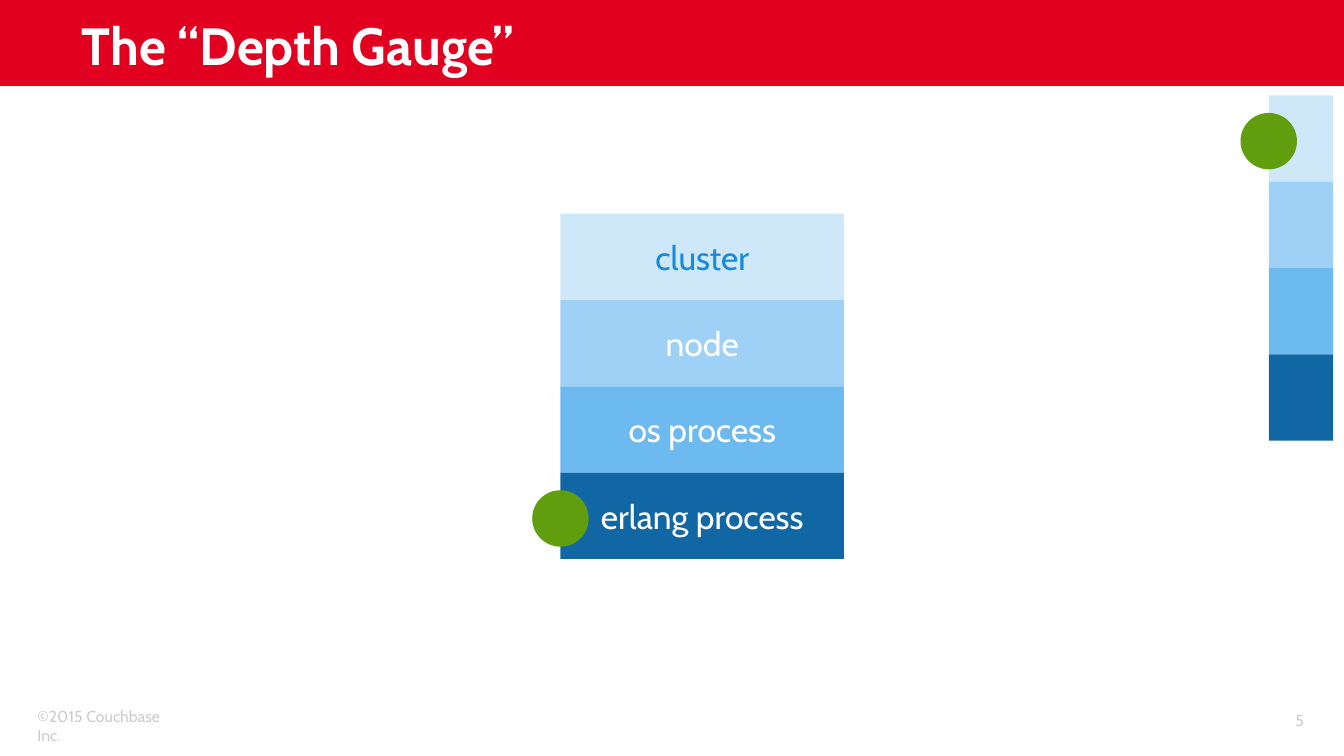
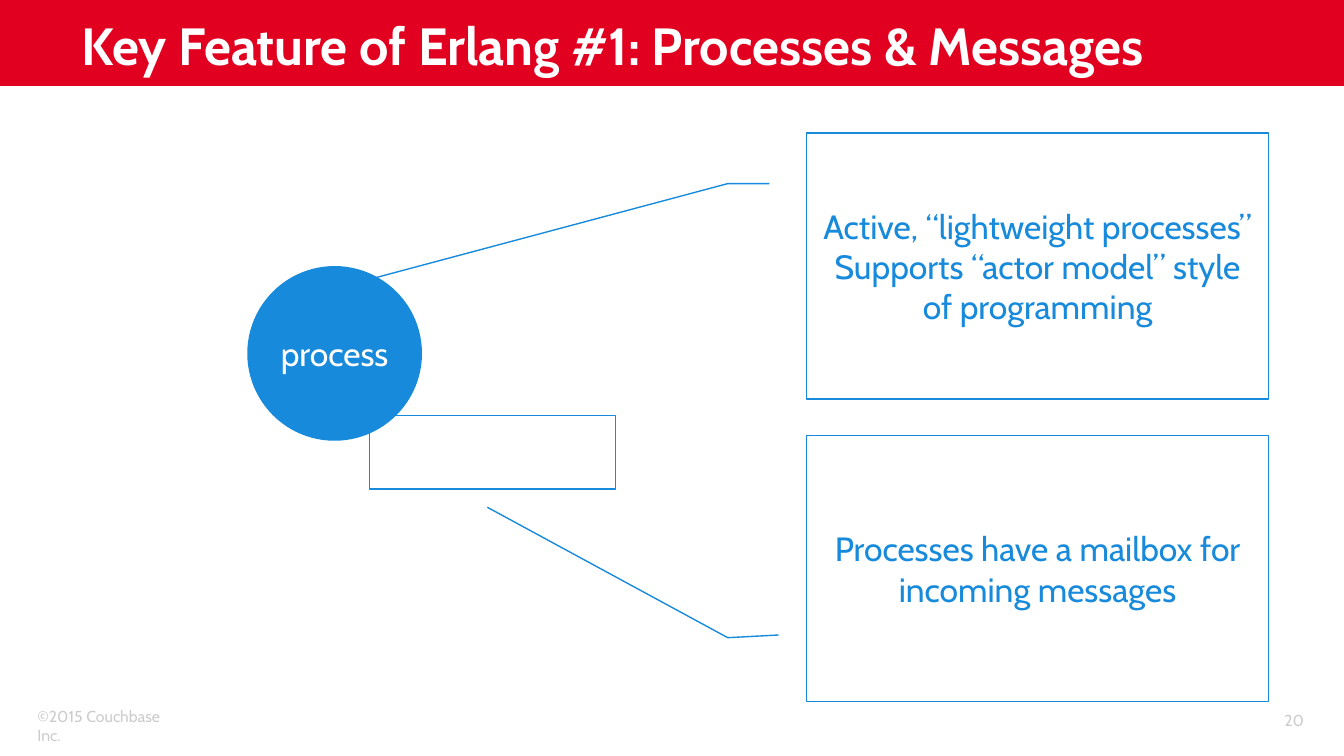
from pptx import Presentation
from pptx.dml.color import RGBColor
from pptx.enum.shapes import MSO_SHAPE
from pptx.enum.text import MSO_ANCHOR, PP_ALIGN
from pptx.util import Inches, Pt

RECTANGLE = MSO_SHAPE.RECTANGLE
OVAL = MSO_SHAPE.OVAL
CALLOUT = MSO_SHAPE.LINE_CALLOUT_2
TOP, MIDDLE, BOTTOM = MSO_ANCHOR.TOP, MSO_ANCHOR.MIDDLE, MSO_ANCHOR.BOTTOM
LEFT, CENTER, RIGHT = PP_ALIGN.LEFT, PP_ALIGN.CENTER, PP_ALIGN.RIGHT

WHITE = RGBColor(0xFF, 0xFF, 0xFF)
RED = RGBColor(0xE1, 0x00, 0x1F)
GREY = RGBColor(0xCC, 0xCC, 0xCC)
BLUE = RGBColor(0x17, 0x8A, 0xDB)
GREEN = RGBColor(0x60, 0x9E, 0x0E)
PALE_BLUE = RGBColor(0xCE, 0xE8, 0xFA)
LIGHT_BLUE = RGBColor(0x9E, 0xD1, 0xF5)
MEDIUM_BLUE = RGBColor(0x6D, 0xBA, 0xF0)
DARK_BLUE = RGBColor(0x11, 0x67, 0xA4)

FONT = "Cabin"
SLIDE_WIDTH = 10
SLIDE_HEIGHT = SLIDE_WIDTH * 9 / 16
LEVELS = [
    ("cluster", PALE_BLUE, BLUE),
    ("node", LIGHT_BLUE, WHITE),
    ("os process", MEDIUM_BLUE, WHITE),
    ("erlang process", DARK_BLUE, WHITE),
]
MARKER_SIZE = 0.42
MARKER_DROP = 0.13


def write(shape, lines, color, size=18, align=CENTER, anchor=MIDDLE,
          bold=False, spacing=None, wrap=True):
    frame = shape.text_frame
    frame.word_wrap = wrap
    frame.vertical_anchor = anchor
    for index, line in enumerate(lines):
        paragraph = frame.add_paragraph() if index else frame.paragraphs[0]
        paragraph.alignment = align
        if spacing:
            paragraph.line_spacing = spacing
        run = paragraph.add_run()
        run.text = line
        font = run.font
        font.name, font.size, font.bold = FONT, Pt(size), bold
        font.color.rgb = color


def add_shape(shapes, kind, box, fill=None, line=None):
    """Add a preset shape to a slide's or group's shapes; box is in inches."""
    shape = shapes.add_shape(kind, *map(Inches, box))
    shape.shadow.inherit = False
    if fill is None:
        shape.fill.background()
    else:
        shape.fill.solid()
        shape.fill.fore_color.rgb = fill
    if line is None:
        shape.line.fill.background()
    else:
        shape.line.color.rgb = line
        shape.line.width = Pt(0.75)
    return shape


def add_text(slide, box, text, color, size, **style):
    textbox = slide.shapes.add_textbox(*map(Inches, box))
    write(textbox, [text], color, size, **style)


def add_base_slide(presentation, title, number):
    """Add a slide with the title band and the footer."""
    slide = presentation.slides.add_slide(presentation.slide_layouts[6])
    add_shape(slide.shapes, RECTANGLE, (0, 0, SLIDE_WIDTH, 0.64), RED)
    add_text(slide, (0.18, 5.21, 1.29, 0.24), "©2015 Couchbase Inc.", GREY, 8.5,
             align=LEFT, anchor=TOP)
    add_text(slide, (8.99, 5.21, 0.81, 0.3), str(number), GREY, 8.5, align=RIGHT)
    add_text(slide, (0.51, 0.02, 8.75, 0.59), title, WHITE, 28,
             align=LEFT, anchor=BOTTOM, bold=True, spacing=0.8)
    return slide


def add_gauge(slide, box, marked_level, labelled):
    """Stack the levels in the box, with a marker on the left edge of one."""
    left, top, width, height = box
    step = height / len(LEVELS)
    shapes = slide.shapes.add_group_shape().shapes
    for index, (label, fill, text_color) in enumerate(LEVELS):
        level = add_shape(shapes, RECTANGLE, (left, top + index * step, width, step), fill)
        if labelled:
            write(level, [label], text_color)
    add_shape(shapes, OVAL, (left - MARKER_SIZE / 2, top + marked_level * step + MARKER_DROP,
                             MARKER_SIZE, MARKER_SIZE), GREEN)


def add_process(slide, left, top):
    """Draw a process with its mailbox at the lower right."""
    process = add_shape(slide.shapes, OVAL, (left, top, 1.3, 1.3), BLUE)
    write(process, ["process"], WHITE, wrap=False)
    add_shape(slide.shapes, RECTANGLE, (left + 0.91, top + 1.11, 1.83, 0.55), line=BLUE)


def add_callout(slide, box, lines, leader):
    """Add a bordered note; leader lists (y, x) points as shares of the box."""
    callout = add_shape(slide.shapes, CALLOUT, box, line=BLUE)
    for index, share in enumerate(share for point in leader for share in point):
        callout.adjustments[index] = share
    write(callout, lines, BLUE)


def build_depth_gauge(presentation):
    slide = add_base_slide(presentation, "The “Depth Gauge”", 5)
    add_gauge(slide, (9.44, 0.71, 0.48, 2.57), marked_level=0, labelled=False)
    add_gauge(slide, (4.17, 1.59, 2.11, 2.57), marked_level=3, labelled=True)


def build_processes(presentation):
    slide = add_base_slide(presentation, "Key Feature of Erlang #1: Processes & Messages", 20)
    add_process(slide, 1.84, 1.98)
    add_callout(slide, (6, 0.99, 3.44, 1.98),
                ["Active, “lightweight processes”",
                 "Supports “actor model” style of programming"],
                [(0.19, -0.08), (0.19, -0.17), (0.58, -1.01)])
    add_callout(slide, (6, 3.24, 3.44, 1.98),
                ["Processes have a mailbox for incoming messages"],
                [(0.75, -0.06), (0.76, -0.17), (0.27, -0.69)])


def main():
    presentation = Presentation()
    presentation.slide_width = Inches(SLIDE_WIDTH)
    presentation.slide_height = Inches(SLIDE_HEIGHT)
    build_depth_gauge(presentation)
    build_processes(presentation)
    presentation.save("out.pptx")


if __name__ == "__main__":
    main()
